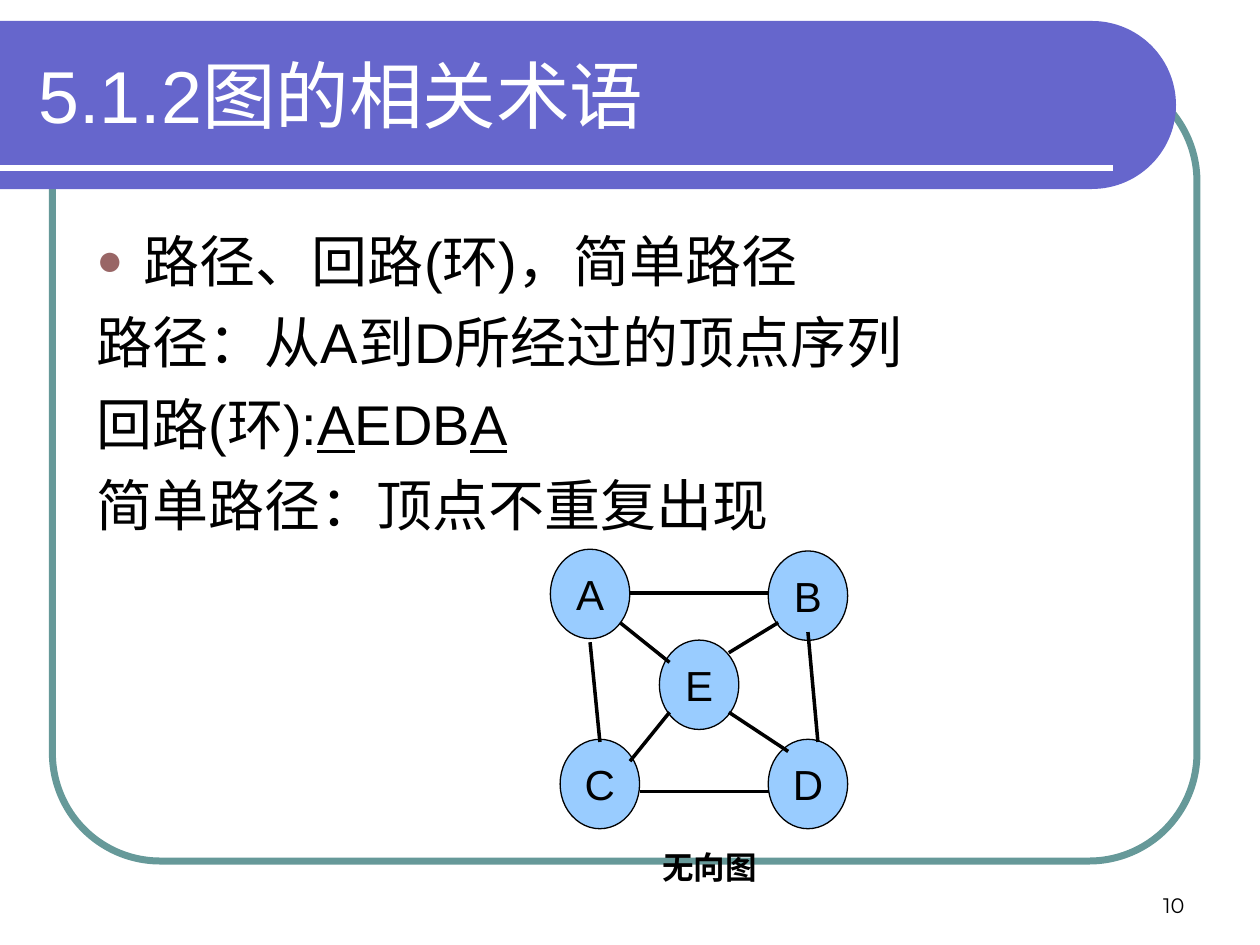
"""Build a slide on graph terminology with an undirected graph."""
import math

import lxml.etree
import pptx
import pptx.chart.data
import pptx.dml.color
import pptx.enum.shapes
import pptx.enum.text
import pptx.oxml
import pptx.oxml.ns
import pptx.util

Pt = pptx.util.Pt
qn = pptx.oxml.ns.qn
SHAPE = pptx.enum.shapes.MSO_SHAPE
ALIGN = pptx.enum.text.PP_ALIGN
ANCHOR = pptx.enum.text.MSO_ANCHOR

THEME = {
    "font": "Arial", "number_font": "Montserrat",
    "title": 42, "body": 32, "vertex": 24, "caption": 18, "number": 12,
    "ink": "000000", "paper": "FFFFFF", "band": "6666CC",
    "frame": "669999", "bullet": "996666", "vertex_fill": "99CCFF",
}

TITLE = "5.1.2图的相关术语"
TERMS = [
    [("路径、回路(环)，简单路径", False)],
    [("路径：从A到D所经过的顶点序列", False)],
    [("回路(环):", False), ("A", True), ("EDB", False), ("A", True)],
    [("简单路径：顶点不重复出现", False)],
]
CAPTION = "无向图"
PAGE_NUMBER = "10"

VERTEX_SIZE = (45.4, 51.1)
VERTICES = {
    "A": (337.2, 339.4), "B": (461.7, 340.4), "C": (342.8, 448),
    "D": (461.7, 448), "E": (399.5, 391.3),
}
EDGES = {
    "AE": (354.3, 355.8, 382.6, 378.5),
    "ED": (416.5, 407, 450.4, 429.4),
    "BD": (461.7, 361.2, 467.4, 424),
    "AB": (360, 338.8, 439.2, 338.8),
    "AC": (337.2, 367, 342.8, 424),
    "CD": (365.8, 452.2, 439.2, 452.2),
    "CE": (360, 435, 382.6, 407),
    "BE": (444.7, 355.8, 416.5, 373),
}
BAND_TOP, BAND_RIGHT, BAND_RADIUS = 12, 672, 48


def color(name):
    return pptx.dml.color.RGBColor.from_string(THEME[name])


def paint(shape, fill=None, line=None, width=0):
    shape.shadow.inherit = False
    if fill:
        shape.fill.solid()
        shape.fill.fore_color.rgb = color(fill)
    else:
        shape.fill.background()
    if line:
        shape.line.color.rgb = color(line)
        shape.line.width = Pt(width)
    else:
        shape.line.fill.background()


def style(paragraph, size, ink="ink", font="font", bold=False):
    paragraph.font.name = THEME[font]
    paragraph.font.size = Pt(THEME[size])
    paragraph.font.color.rgb = color(ink)
    paragraph.font.bold = bold


def write(frame, text, size, align=ALIGN.LEFT, anchor=ANCHOR.TOP, **look):
    frame.word_wrap = True
    frame.vertical_anchor = anchor
    paragraph = frame.paragraphs[0]
    paragraph.text = text
    paragraph.alignment = align
    style(paragraph, size, **look)


def add_text_frame(slide, *box):
    return slide.shapes.add_textbox(*map(Pt, box)).text_frame


def add_line(slide, ends, ink, width):
    line = slide.shapes.add_connector(
        pptx.enum.shapes.MSO_CONNECTOR.STRAIGHT, *map(Pt, ends))
    line.line.color.rgb = color(ink)
    line.line.width = Pt(width)
    lxml.etree.SubElement(line._element.spPr, qn("a:effectLst"))


def add_backdrop(slide):
    frame = slide.shapes.add_shape(
        SHAPE.ROUNDED_RECTANGLE, *map(Pt, (30, 42, 654, 450)))
    frame.adjustments[0] = 0.137
    paint(frame, line="frame", width=4)

    center_x, center_y = BAND_RIGHT - BAND_RADIUS, BAND_TOP + BAND_RADIUS
    arc = [(center_x + BAND_RADIUS * math.cos(math.radians(angle)),
            center_y + BAND_RADIUS * math.sin(math.radians(angle)))
           for angle in range(-90, 91, 3)]
    outline = arc + [(0, BAND_TOP + 2 * BAND_RADIUS)]
    builder = slide.shapes.build_freeform(Pt(0), Pt(BAND_TOP))
    builder.add_line_segments([(Pt(x), Pt(y)) for x, y in outline], close=True)
    paint(builder.convert_to_shape(), fill="band")
    add_line(slide, (0, 96, 636, 96), "paper", 3)


def add_bullet(properties):
    for tag, attributes in (
            ("a:buClr", {}), ("a:buSzPct", {"val": "80000"}),
            ("a:buFont", {"typeface": THEME["font"]}), ("a:buChar", {"char": "●"})):
        element = lxml.etree.SubElement(properties, qn(tag), attributes)
        if tag == "a:buClr":
            lxml.etree.SubElement(element, qn("a:srgbClr"), val=THEME["bullet"])


def add_terms(slide):
    frame = add_text_frame(slide, 48, 126, 624, 348)
    frame.word_wrap = True
    for index, term in enumerate(TERMS):
        paragraph = frame.add_paragraph() if index else frame.paragraphs[0]
        properties = paragraph._p.get_or_add_pPr()
        properties.set("marL", str(Pt(27)))
        properties.set("indent", str(Pt(-27)))
        if index:
            paragraph.space_before = Pt(8)
        else:
            add_bullet(properties)
        style(paragraph, "body")
        for text, underlined in term:
            run = paragraph.add_run()
            run.text = text
            if underlined:
                run.font.underline = True


def add_graph(slide):
    width, height = VERTEX_SIZE
    for label, (x, y) in VERTICES.items():
        vertex = slide.shapes.add_shape(
            SHAPE.OVAL, *map(Pt, (x - width / 2, y - height / 2, width, height)))
        paint(vertex, "vertex_fill", "ink", 0.75)
        write(vertex.text_frame, label, "vertex", ALIGN.CENTER, ANCHOR.MIDDLE)
    for ends in EDGES.values():
        add_line(slide, ends, "ink", 2)
    write(add_text_frame(slide, 366, 481, 79, 29), CAPTION, "caption",
          ALIGN.CENTER, bold=True)


def main():
    deck = pptx.Presentation()
    deck.slide_width, deck.slide_height = Pt(720), Pt(540)
    slide = deck.slides.add_slide(deck.slide_layouts[6])
    add_backdrop(slide)
    write(add_text_frame(slide, 15, 18, 631.5, 72), TITLE, "title",
          anchor=ANCHOR.MIDDLE, ink="paper")
    add_terms(slide)
    add_graph(slide)
    write(add_text_frame(slide, 516, 492, 168, 36), PAGE_NUMBER, "number",
          ALIGN.RIGHT, ANCHOR.BOTTOM, font="number_font")
    deck.save("out.pptx")


if __name__ == "__main__":
    main()
